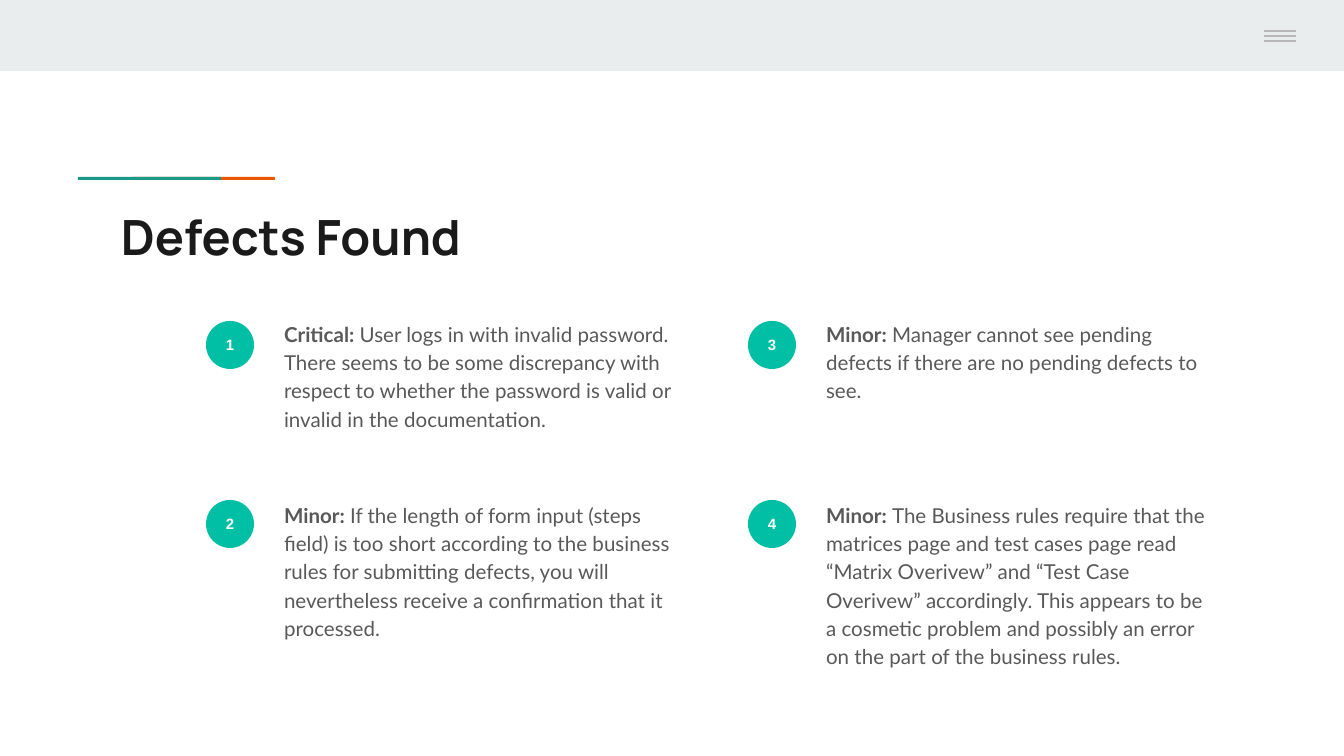
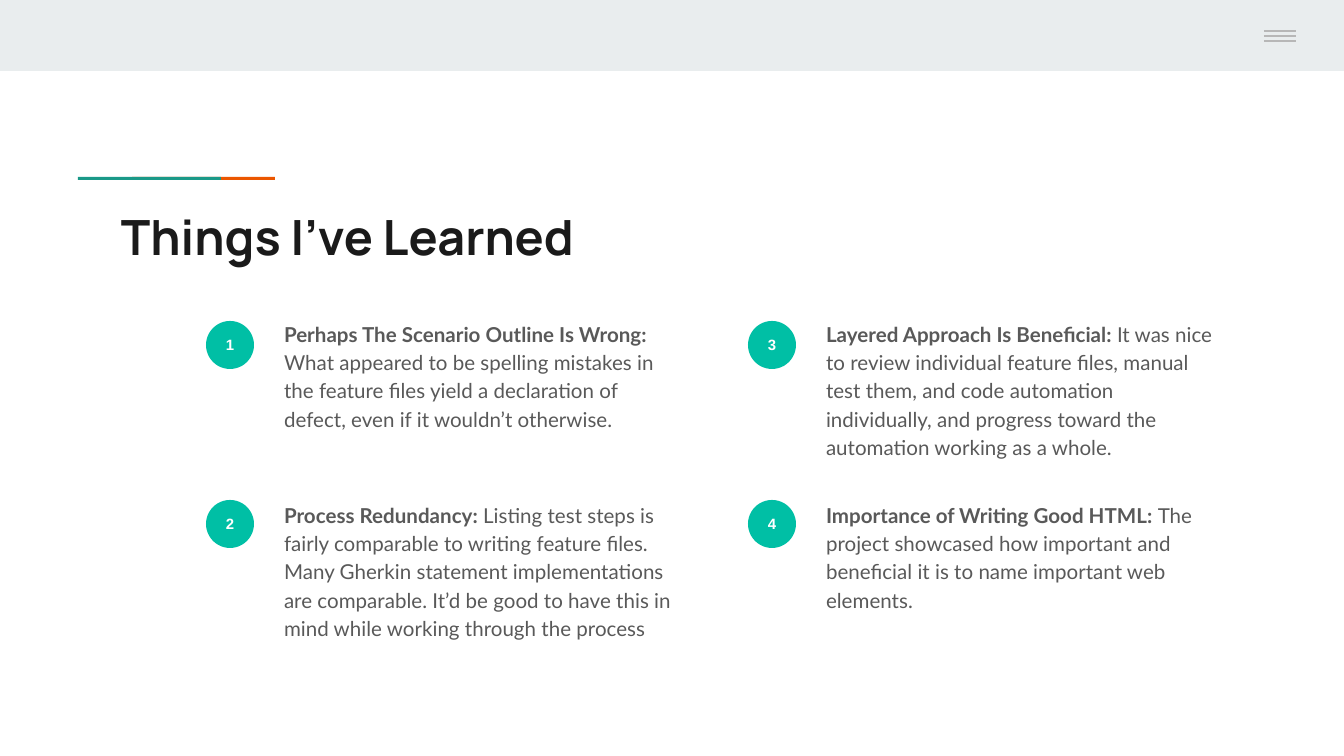
from dataclasses import dataclass
from typing import NamedTuple

from lxml.etree import SubElement
from pptx import Presentation
from pptx.dml.color import RGBColor
from pptx.enum.shapes import MSO_CONNECTOR, MSO_SHAPE
from pptx.enum.text import MSO_ANCHOR, PP_ALIGN
from pptx.oxml.ns import qn
from pptx.shapes.autoshape import Shape
from pptx.slide import Slide
from pptx.text.text import Font, TextFrame
from pptx.util import Emu, Pt

PX_PER_INCH = 134.4


def px(length: int) -> Emu:
    return Emu(round(length * 914400 / PX_PER_INCH))


class TextStyle(NamedTuple):
    font: str
    size: int
    color: str


@dataclass(frozen=True)
class Theme:
    band: str = "E9EDEE"
    menu: str = "B7B7B7"
    accent_green: str = "1A9988"
    accent_orange: str = "EB5600"
    badge: str = "00BFA5"
    title: TextStyle = TextStyle("Manrope", 26, "1A1A1A")
    body: TextStyle = TextStyle("Lato", 11, "595959")
    number: TextStyle = TextStyle("Arial", 8, "FFFFFF")
    menu_width: float = 0.75
    line_spacing: float = 1.15
    space_after: int = 16


class Box(NamedTuple):
    left: int
    top: int
    width: int
    height: int

    def moved(self, dx: int, dy: int) -> "Box":
        return Box(self.left + dx, self.top + dy, self.width, self.height)

    def emu(self) -> list[Emu]:
        return [px(length) for length in self]


class Point(NamedTuple):
    lead: str
    detail: str


class Page(NamedTuple):
    title: str
    points: list[Point]


THEME = Theme()
INSET = 13

# Frame
SLIDE_WIDTH, SLIDE_HEIGHT = 1344, 756
BAND = Box(0, 0, SLIDE_WIDTH, 71)
MENU_CORNER = Box(1218, 0, 126, 67)
MENU_LEFT, MENU_RIGHT, MENU_TOP, MENU_GAP = 1264, 1296, 31, 5
GREEN_RULE = Box(78, 177, 143, 3)
ORANGE_RULE = GREEN_RULE.moved(54, 0)
TITLE = Box(108, 194, 1130, 79)

# Grid of points, filled column by column
ROWS = 2
COLUMN_STEP = 542
BADGE = Box(206, 321, 48, 48)
BADGE_ROW_STEP = 179
DETAIL = Box(271, 305, 417, 155)
DETAIL_ROW_STEP = 181

PAGES = [
    Page("Defects Found", [
        Point("Critical:", "User logs in with invalid password. There seems to be some "
              "discrepancy with respect to whether the password is valid or invalid in "
              "the documentation."),
        Point("Minor:", "If the length of form input (steps field) is too short according "
              "to the business rules for submitting defects, you will nevertheless "
              "receive a confirmation that it processed."),
        Point("Minor:", "Manager cannot see pending defects if there are no pending "
              "defects to see."),
        Point("Minor:", "The Business rules require that the matrices page and test cases "
              "page read “Matrix Overivew” and “Test Case Overivew” accordingly. This "
              "appears to be a cosmetic problem and possibly an error on the part of "
              "the business rules."),
    ]),
    Page("Things I’ve Learned", [
        Point("Perhaps The Scenario Outline Is Wrong:", "What appeared to be spelling "
              "mistakes in the feature files yield a declaration of defect, even if it "
              "wouldn’t otherwise."),
        Point("Process Redundancy:", "Listing test steps is fairly comparable to writing "
              "feature files. Many Gherkin statement implementations are comparable. "
              "It’d be good to have this in mind while working through the process"),
        Point("Layered Approach Is Beneficial:", "It was nice to review individual "
              "feature files, manual test them, and code automation individually, and "
              "progress toward the automation working as a whole."),
        Point("Importance of Writing Good HTML:", "The project showcased how important "
              "and beneficial it is to name important web elements."),
    ]),
]


def apply_style(font: Font, style: TextStyle, bold: bool = True) -> None:
    font.name = style.font
    font.size = Pt(style.size)
    font.bold = bold
    font.color.rgb = RGBColor.from_string(style.color)


def set_insets(frame: TextFrame) -> None:
    frame.word_wrap = True
    frame.margin_left = frame.margin_right = px(INSET)
    frame.margin_top = frame.margin_bottom = px(INSET)


def add_filled(slide: Slide, kind: MSO_SHAPE, box: Box, color: str) -> Shape:
    shape = slide.shapes.add_shape(kind, *box.emu())
    shape.shadow.inherit = False
    shape.fill.solid()
    shape.fill.fore_color.rgb = RGBColor.from_string(color)
    shape.line.fill.background()
    return shape


def add_text(slide: Slide, box: Box, text: str, style: TextStyle) -> TextFrame:
    frame = slide.shapes.add_textbox(*box.emu()).text_frame
    set_insets(frame)
    frame.text = text
    apply_style(frame.paragraphs[0].runs[0].font, style)
    return frame


def add_menu_line(slide: Slide, y: int) -> None:
    line = slide.shapes.add_connector(
        MSO_CONNECTOR.STRAIGHT, px(MENU_LEFT), px(y), px(MENU_RIGHT), px(y))
    line.line.color.rgb = RGBColor.from_string(THEME.menu)
    line.line.width = Pt(THEME.menu_width)
    SubElement(line._element.spPr, qn("a:effectLst"))


def add_frame(slide: Slide) -> None:
    for box, color in (
        (BAND, THEME.band),
        (ORANGE_RULE, THEME.accent_orange),
        (GREEN_RULE, THEME.accent_green),
        (MENU_CORNER, THEME.band),
    ):
        add_filled(slide, MSO_SHAPE.RECTANGLE, box, color)
    for i in range(3):
        add_menu_line(slide, MENU_TOP + i * MENU_GAP)


def add_badge(slide: Slide, box: Box, number: int) -> None:
    frame = add_filled(slide, MSO_SHAPE.OVAL, box, THEME.badge).text_frame
    set_insets(frame)
    frame.vertical_anchor = MSO_ANCHOR.MIDDLE
    frame.text = str(number)
    paragraph = frame.paragraphs[0]
    paragraph.alignment = PP_ALIGN.CENTER
    apply_style(paragraph.runs[0].font, THEME.number)


def add_point(slide: Slide, index: int, point: Point) -> None:
    column, row = divmod(index, ROWS)
    dx = column * COLUMN_STEP
    add_badge(slide, BADGE.moved(dx, row * BADGE_ROW_STEP), index + 1)

    detail_box = DETAIL.moved(dx, row * DETAIL_ROW_STEP)
    paragraph = add_text(slide, detail_box, point.lead + " ", THEME.body).paragraphs[0]
    paragraph.line_spacing = THEME.line_spacing
    paragraph.space_after = Pt(THEME.space_after)
    detail = paragraph.add_run()
    detail.text = point.detail
    apply_style(detail.font, THEME.body, bold=False)


def main() -> None:
    deck = Presentation()
    deck.slide_width, deck.slide_height = px(SLIDE_WIDTH), px(SLIDE_HEIGHT)
    blank = deck.slide_layouts[6]
    for page in PAGES:
        slide = deck.slides.add_slide(blank)
        add_frame(slide)
        add_text(slide, TITLE, page.title, THEME.title)
        for index, point in enumerate(page.points):
            add_point(slide, index, point)
    deck.save("out.pptx")


if __name__ == "__main__":
    main()
